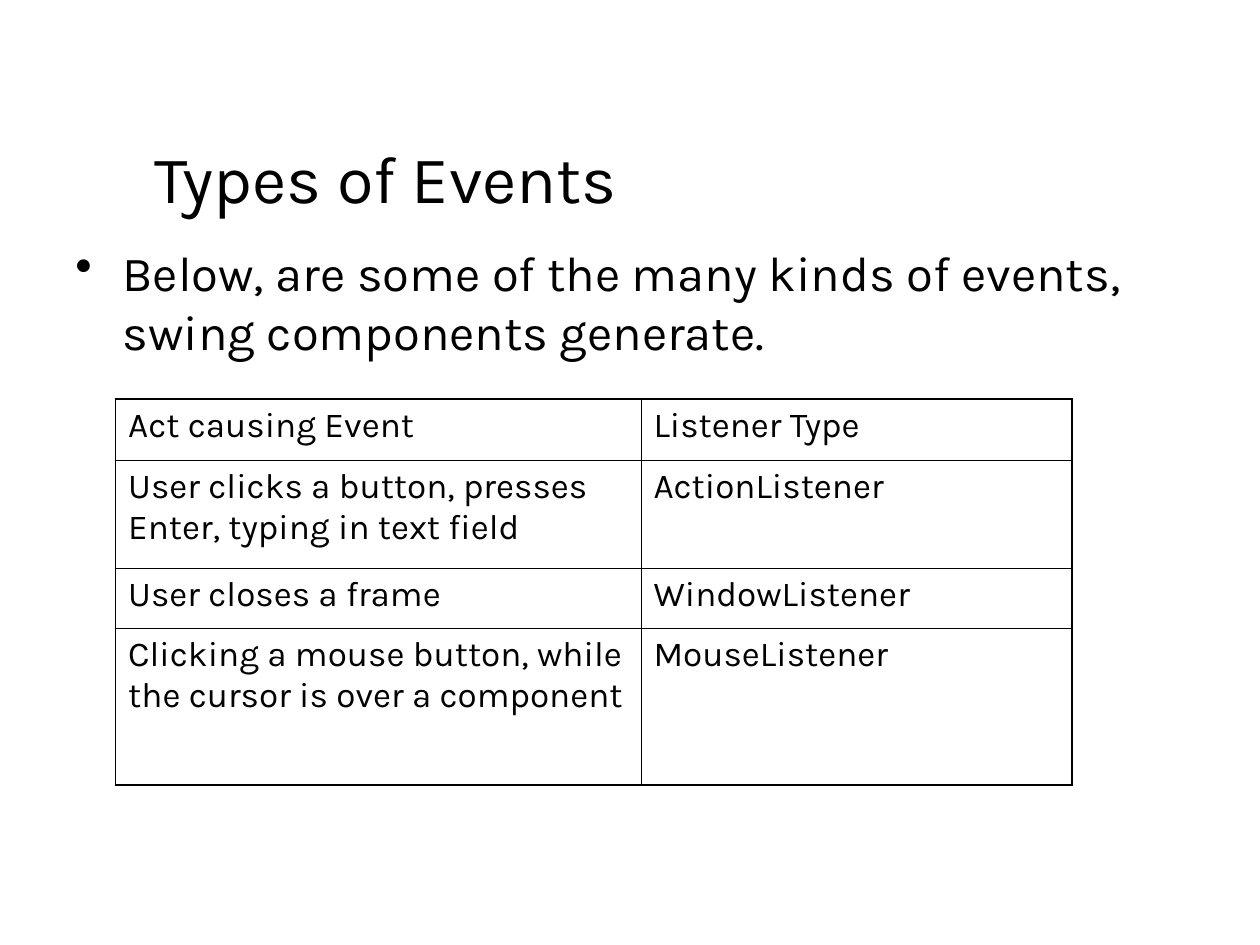
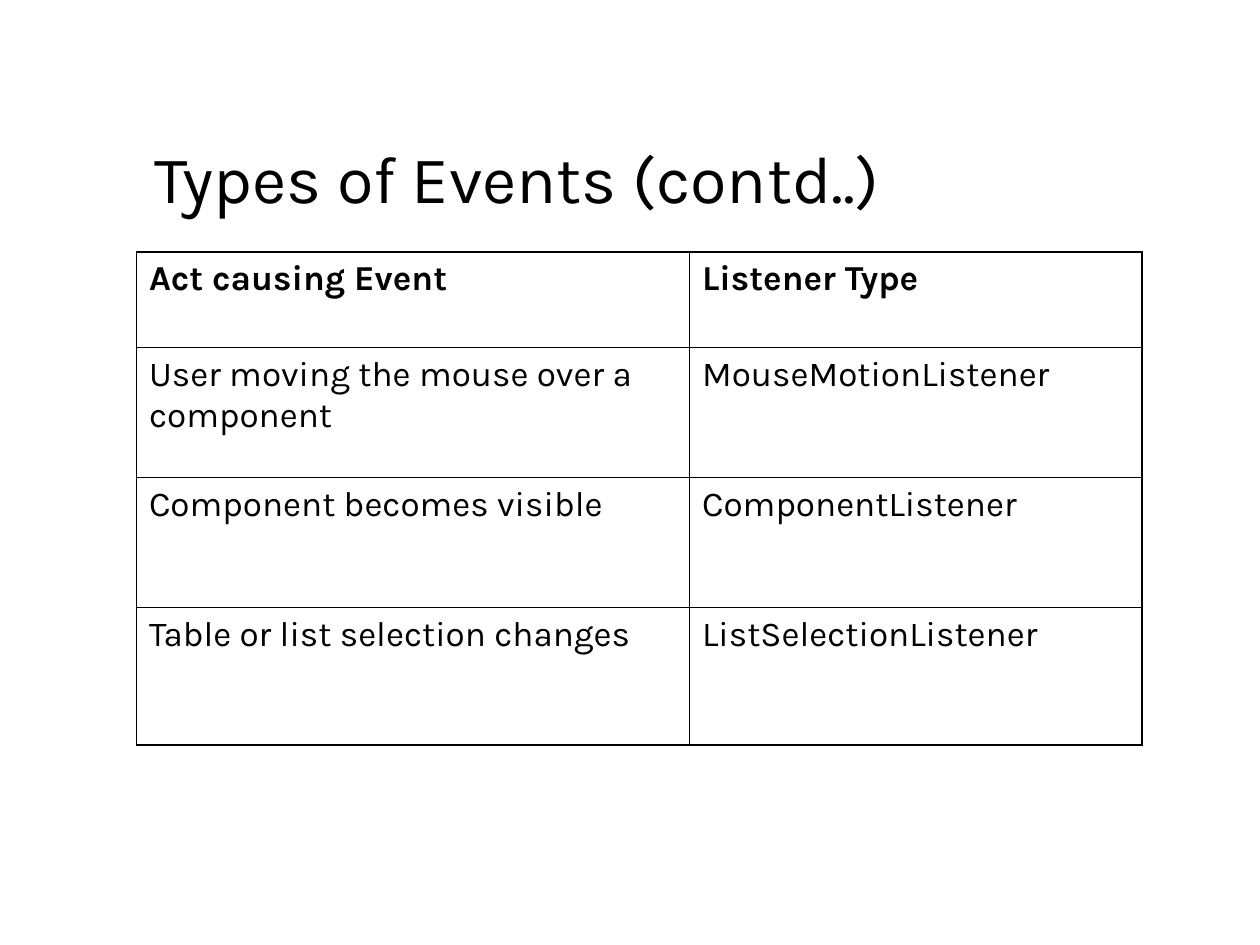
"""Build two slides that list kinds of events and their listeners."""
from dataclasses import dataclass

from lxml import etree
from pptx import Presentation
from pptx import util as u
from pptx.dml.color import RGBColor
from pptx.enum import text as t
from pptx.oxml import ns


@dataclass(frozen=True)
class Theme:
    font: str = "Karla"
    ink: str = "000000"
    paper: str = "FFFFFF"
    title: int = 38
    body: int = 28
    cell: int = 20
    outer: float = 1.08
    inner: float = 0.45


@dataclass(frozen=True)
class Box:
    left: float
    top: float
    width: float
    height: float


@dataclass(frozen=True)
class Grid:
    left: float
    top: float
    cols: tuple[float, ...]
    rows: tuple[float, ...]
    cells: tuple[tuple[str, str], ...]
    bold: bool = False


LOOK = Theme()
HEAD = Box(2.86, 2.54, 21.59, 2.77)
BODY = Box(1.27, 4.66, 22.44, 11.43)
LABELS = ("Act causing Event", "Listener Type")
FIRST = Grid(2.33, 8.05, (10.59, 8.69), (1.22, 2.18, 1.22, 3.15), (
    LABELS,
    ("User clicks a button, presses Enter, typing in text field", "ActionListener"),
    ("User closes a frame", "WindowListener"),
    ("Clicking a mouse button, while the cursor is over a component", "MouseListener"),
))
SECOND = Grid(2.75, 5.08, (11.15, 9.12), (1.93, 2.62, 2.62, 2.77), (
    LABELS,
    ("User moving the mouse over a component", "MouseMotionListener"),
    ("Component becomes visible", "ComponentListener"),
    ("Table or list selection changes", "ListSelectionListener"),
), bold=True)


def write(frame, words: str, *, size: int, bold: bool = False,
          bullet: str = "", top: float = 0.13) -> None:
    """Put one formatted paragraph into a text frame."""
    frame.word_wrap = True
    frame.auto_size = t.MSO_AUTO_SIZE.NONE
    frame.vertical_anchor = t.MSO_ANCHOR.TOP
    frame.margin_left = frame.margin_right = u.Cm(0.25)
    frame.margin_top, frame.margin_bottom = u.Cm(top), u.Cm(0.13)
    frame.text = words
    para = frame.paragraphs[0]
    para.alignment = t.PP_ALIGN.LEFT
    para.space_before = u.Pt(0)
    if bullet:
        props = para._p.get_or_add_pPr()
        props.set("marL", str(u.Cm(0.95)))
        props.set("indent", str(-u.Cm(0.95)))
        tint = etree.SubElement(props, ns.qn("a:buClr"))
        etree.SubElement(tint, ns.qn("a:srgbClr"), val=LOOK.ink)
        etree.SubElement(props, ns.qn("a:buChar"), char=bullet)
    font = para.runs[0].font
    font.name, font.size, font.bold = LOOK.font, u.Pt(size), bold
    font.color.rgb = RGBColor.from_string(LOOK.ink)


def place(shape, box: Box) -> None:
    """Move a shape to its box."""
    shape.left, shape.top = u.Cm(box.left), u.Cm(box.top)
    shape.width, shape.height = u.Cm(box.width), u.Cm(box.height)


def edge(cell, sides: dict[str, bool]) -> None:
    """Rule the four sides of a cell, heavier on the outside of the table."""
    props = cell._tc.get_or_add_tcPr()
    for spot, (side, outer) in enumerate(sides.items()):
        width = u.Pt(LOOK.outer if outer else LOOK.inner)
        line = etree.Element(ns.qn(f"a:ln{side}"), w=str(width))
        fill = etree.SubElement(line, ns.qn("a:solidFill"))
        etree.SubElement(fill, ns.qn("a:srgbClr"), val=LOOK.ink)
        props.insert(spot, line)


def draw(slide, grid: Grid) -> None:
    """Add a ruled table to a slide."""
    high, wide = len(grid.rows), len(grid.cols)
    table = slide.shapes.add_table(
        high, wide, u.Cm(grid.left), u.Cm(grid.top),
        u.Cm(sum(grid.cols)), u.Cm(sum(grid.rows))).table
    table.first_row = table.horz_banding = False
    for col, width in zip(table.columns, grid.cols):
        col.width = u.Cm(width)
    for row, height in zip(table.rows, grid.rows):
        row.height = u.Cm(height)
    for r, line in enumerate(grid.cells):
        for c, words in enumerate(line):
            cell = table.cell(r, c)
            write(cell.text_frame, words, size=LOOK.cell, bold=grid.bold and r == 0)
            cell.vertical_anchor = t.MSO_ANCHOR.TOP
            cell.fill.background()
            edge(cell, {"L": c == 0, "R": c == wide - 1,
                        "T": r == 0, "B": r == high - 1})


def start(deck, words: str):
    """Add a slide with its title in place."""
    slide = deck.slides.add_slide(deck.slide_layouts.get_by_name("Title Only"))
    back = slide.background.fill
    back.solid()
    back.fore_color.rgb = RGBColor.from_string(LOOK.paper)
    title = slide.shapes.title
    place(title, HEAD)
    write(title.text_frame, words, size=LOOK.title, top=0.23)
    return slide


def main() -> None:
    """Build and save the deck."""
    deck = Presentation()
    deck.slide_width, deck.slide_height = u.Cm(25.4), u.Cm(19.05)
    slide = start(deck, "Types of Events")
    note = slide.shapes.add_textbox(0, 0, 0, 0)
    place(note, BODY)
    write(note.text_frame,
          "Below, are some of the many kinds of events, swing components generate.",
          size=LOOK.body, bullet="•", top=0.23)
    draw(slide, FIRST)
    draw(start(deck, "Types of Events (contd..)"), SECOND)
    deck.save("out.pptx")


if __name__ == "__main__":
    main()
